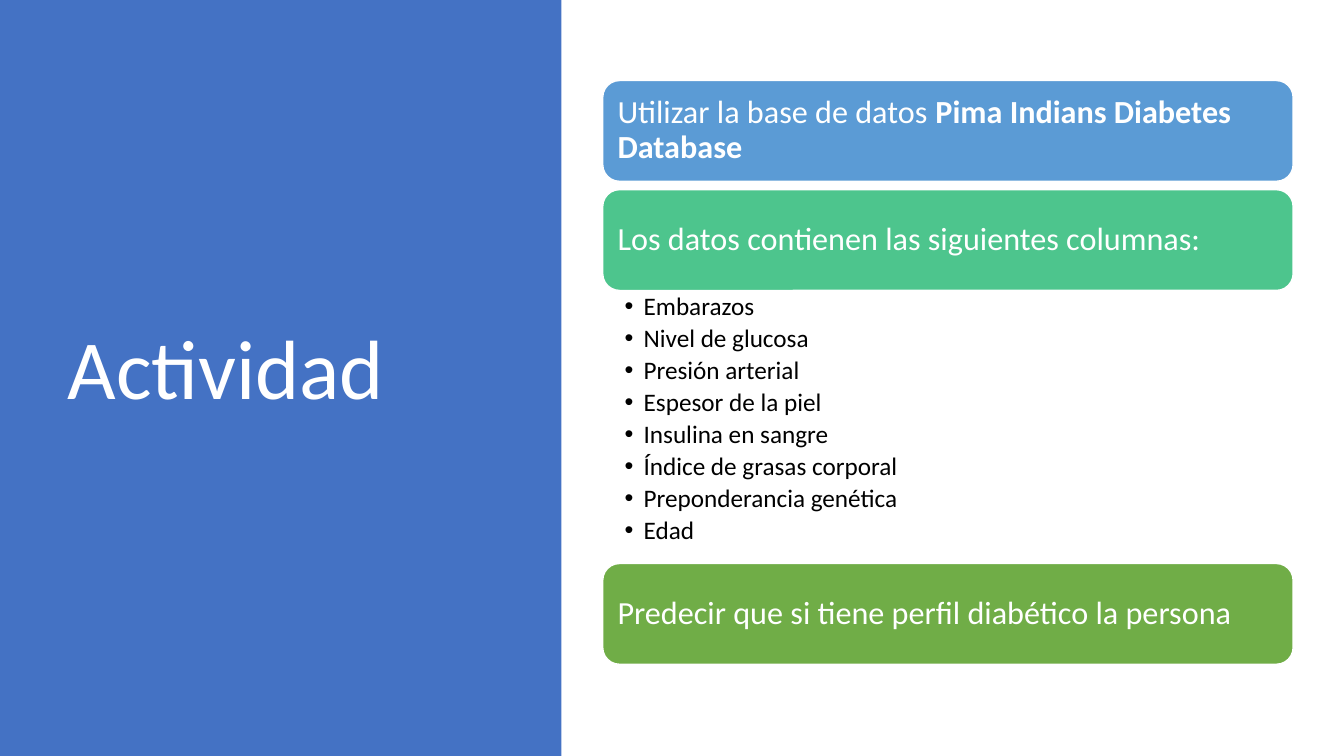
import pptx
import pptx.util
import pptx.dml.color
import pptx.enum.shapes
import pptx.enum.text
import pptx.oxml
import pptx.oxml.ns

Cm = pptx.util.Cm
Pt = pptx.util.Pt
MIDDLE = pptx.enum.text.MSO_ANCHOR.MIDDLE
TOP = pptx.enum.text.MSO_ANCHOR.TOP

COLORS = {
    "panel": "4472C4",
    "source": "5B9BD5",
    "columns": "4DC58D",
    "goal": "70AD47",
    "white": "FFFFFF",
    "black": "000000",
}


def rgb(name):
    return pptx.dml.color.RGBColor.from_string(COLORS[name])


def write(box, paragraphs, size, color, anchor, insets):
    """Fill a box with paragraphs, each a list of (text, bold) spans."""
    frame = box.text_frame
    frame_format = {
        "word_wrap": True,
        "auto_size": pptx.enum.text.MSO_AUTO_SIZE.NONE,
        "vertical_anchor": anchor,
    }
    for side, inset in zip(("left", "top", "right", "bottom"), insets):
        frame_format["margin_" + side] = Cm(inset)
    for name, value in frame_format.items():
        setattr(frame, name, value)
    para_format = {
        "alignment": pptx.enum.text.PP_ALIGN.LEFT,
        "line_spacing": 0.9,
        "space_before": Pt(0),
        "space_after": Pt(0),
    }
    font_format = {"name": "Calibri", "size": Pt(size)}
    for index, spans in enumerate(paragraphs):
        para = frame.add_paragraph() if index else frame.paragraphs[0]
        for name, value in para_format.items():
            setattr(para, name, value)
        for text, bold in spans:
            span = para.add_run()
            span.text = text
            for name, value in font_format.items():
                setattr(span.font, name, value)
            span.font.bold = bold
            span.font.color.rgb = rgb(color)


deck = pptx.Presentation()
deck.slide_width, deck.slide_height = Cm(33.87), Cm(19.05)
page = deck.slides.add_slide(deck.slide_layouts[1])
title, columns = page.placeholders

# Blue panel behind the title
panel = page.shapes.add_shape(
    pptx.enum.shapes.MSO_SHAPE.RECTANGLE, 0, 0, Cm(14.15), deck.slide_height)
panel.shadow.inherit = False
panel.fill.solid()
panel.fill.fore_color.rgb = rgb("panel")
panel.line.fill.background()
title.element.addprevious(panel.element)

# Title
title.left, title.top, title.width, title.height = (
    Cm(1.45), Cm(1.73), Cm(10.57), Cm(15.29))
write(title, [[("Actividad", False)]], 60, "white", MIDDLE,
      (0.25, 0.13, 0.25, 0.13))

# Cards, stacked from the top with the list under the second one
left, width, card_height = 15.19, 17.4, 2.54
card_gap, list_height = 0.21, 6.88
cards = [
    ("source", card_gap, [("Utilizar la base de datos ", False),
                          ("Pima Indians Diabetes Database", True)]),
    ("columns", list_height,
     [("Los datos contienen las siguientes columnas:", False)]),
    ("goal", 0,
     [("Predecir que si tiene perfil diabético la persona", False)]),
]
top = 2.03
for color, space_below, spans in cards:
    card = page.shapes.add_shape(
        pptx.enum.shapes.MSO_SHAPE.ROUNDED_RECTANGLE,
        Cm(left), Cm(top), Cm(width), Cm(card_height))
    card.shadow.inherit = False
    card.fill.solid()
    card.fill.fore_color.rgb = rgb(color)
    card.line.color.rgb = rgb("white")
    card.line.width = Pt(1)
    write(card, [spans], 23, "white", MIDDLE, (0.25,) * 4)
    top += card_height
    if color == "columns":
        columns.left, columns.top, columns.width, columns.height = (
            Cm(left), Cm(top), Cm(width), Cm(list_height))
    top += space_below

# Bulleted list of data columns
names = [
    "Embarazos",
    "Nivel de glucosa",
    "Presión arterial",
    "Espesor de la piel",
    "Insulina en sangre",
    "Índice de grasas corporal",
    "Preponderancia genética",
    "Edad",
]
write(columns, [[(name, False)] for name in names], 18, "black", TOP,
      (0.55, 0.08, 0.46, 0.08))
for para in columns.text_frame.paragraphs:
    para.level = 1
    para.space_after = Pt(3.4)
    properties = para._p.get_or_add_pPr()
    properties.set("marL", str(Cm(0.48)))
    properties.set("indent", str(-Cm(0.48)))
    properties.append(pptx.oxml.parse_xml(
        f'<a:buChar {pptx.oxml.ns.nsdecls("a")} char="•"/>'))

deck.save("out.pptx")
